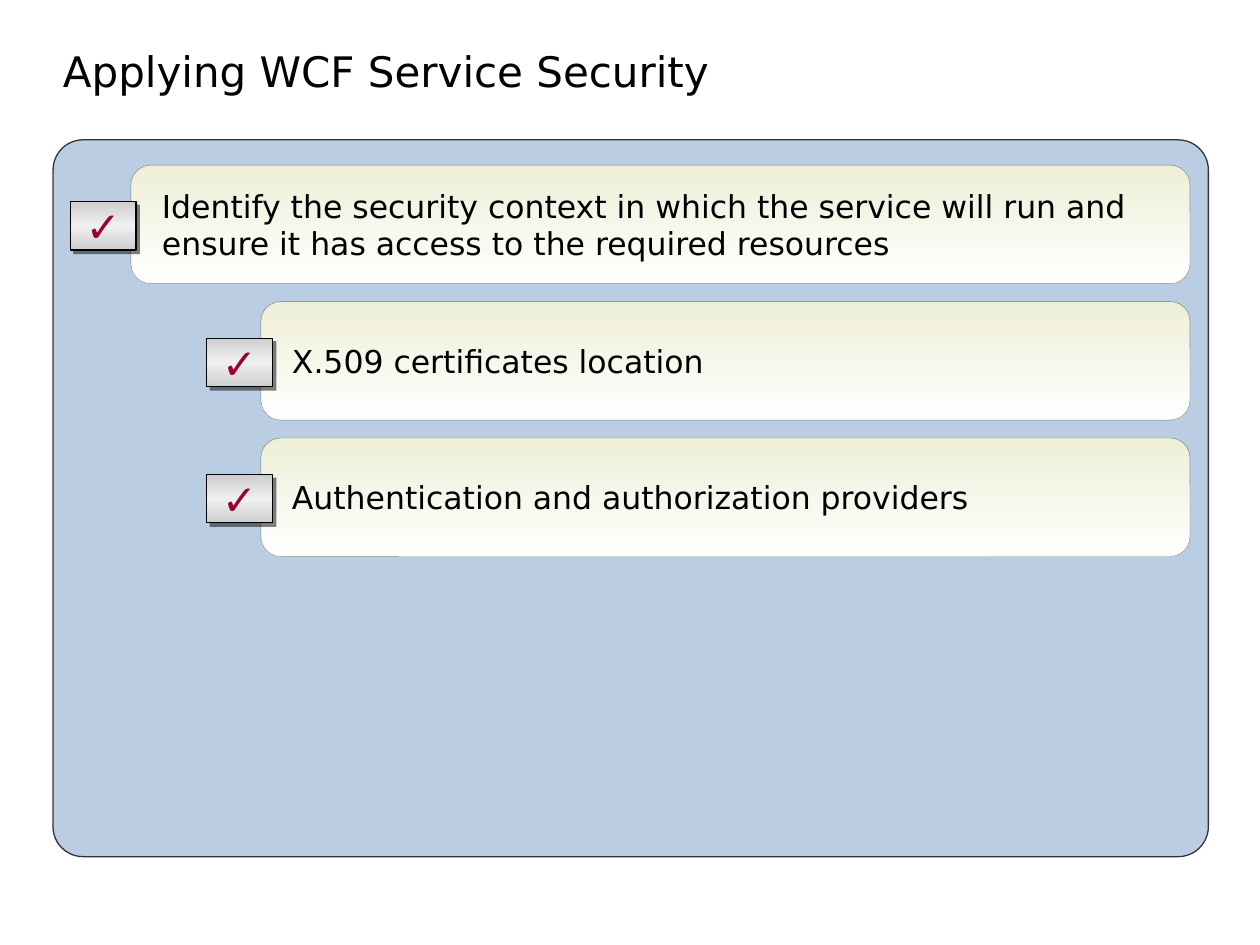
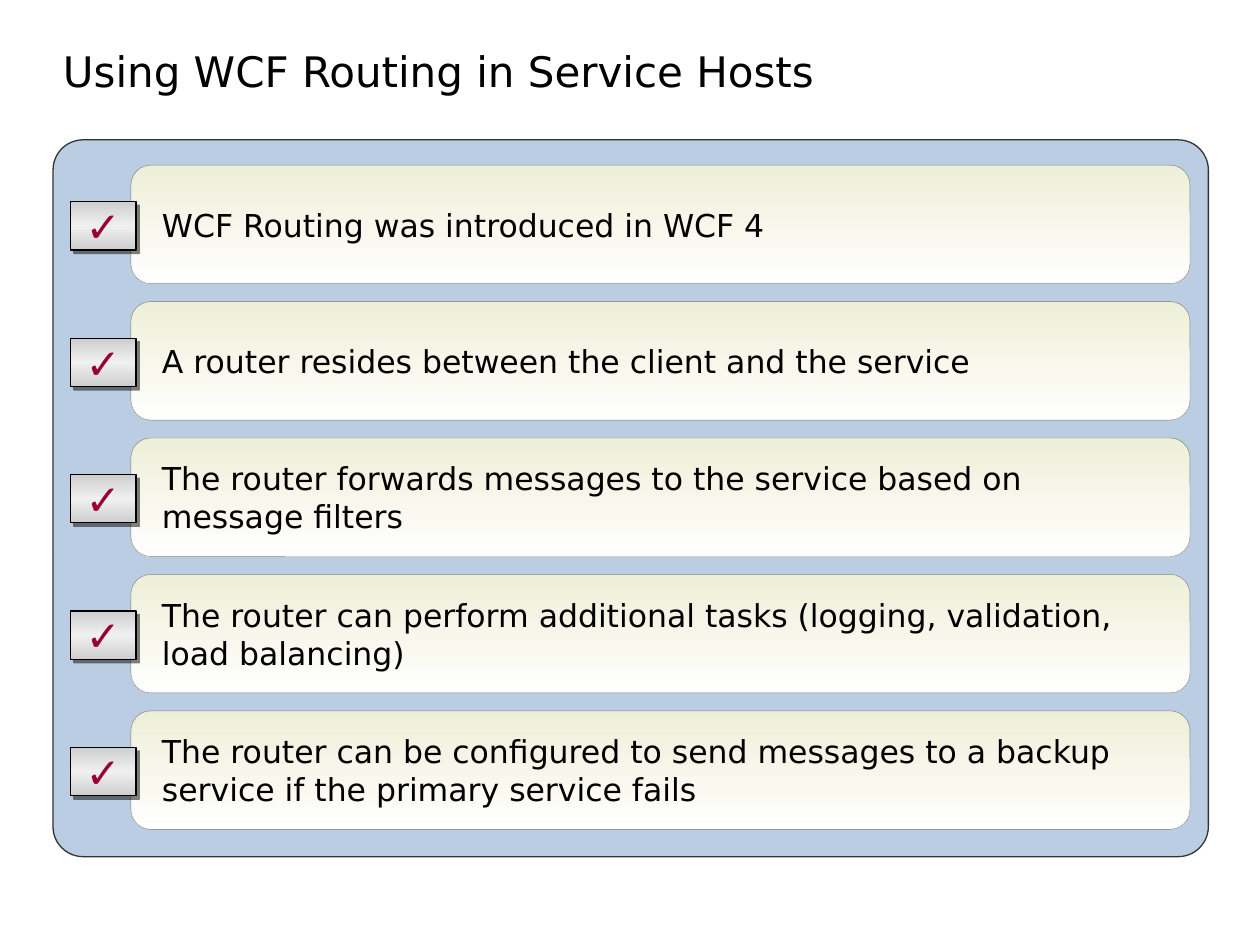
from dataclasses import dataclass

from lxml import etree
from pptx import Presentation
from pptx import util as u
from pptx.dml.color import RGBColor
from pptx.enum import shapes, text
from pptx.oxml import ns

# Colours and fonts
BLACK = RGBColor(0, 0, 0)
PANEL = RGBColor(0xBB, 0xCD, 0xE3)
EDGE = RGBColor(0x33, 0x33, 0x33)
GREY = RGBColor(0x80, 0x80, 0x80)
CREAM = RGBColor(0xEE, 0xEF, 0xD7)
WHITE = RGBColor(0xFF, 0xFF, 0xFF)
STEEL = RGBColor(0xCE, 0xCE, 0xCE)
SHINE = RGBColor(0xF0, 0xF0, 0xF0)
RED = RGBColor(0x99, 0, 0x33)
SANS = "DejaVu Sans"
MARK = "Arial"

# Row geometry, in centimetres: (card left, check left) per level
LEVELS = ((2.64, 1.42), (5.26, 4.17))
RIGHT = 23.99
TOP, PITCH, HIGH = 3.33, 2.75, 2.39
DROP = 0.74


@dataclass(frozen=True)
class Box:
    left: float
    top: float
    width: float
    height: float

    def place(self) -> tuple:
        return tuple(map(u.Cm, (self.left, self.top, self.width, self.height)))


@dataclass(frozen=True)
class Row:
    words: str
    level: int = 0


@dataclass(frozen=True)
class Page:
    title: str
    rows: tuple


PAGES = (
    Page("Applying WCF Service Security", (
        Row("Identify the security context in which the service will run "
            "and ensure it has access to the required resources"),
        Row("X.509 certificates location", 1),
        Row("Authentication and authorization providers", 1),
    )),
    Page("Using WCF Routing in Service Hosts", (
        Row("WCF Routing was introduced in WCF 4"),
        Row("A router resides between the client and the service"),
        Row("The router forwards messages to the service based on "
            "message filters"),
        Row("The router can perform additional tasks (logging, validation, "
            "load balancing)"),
        Row("The router can be configured to send messages to a backup "
            "service if the primary service fails"),
    )),
)


def node(up, tag: str, **attrs):
    return etree.SubElement(up, ns.qn(tag), attrs)


def fade(shape, *stops: RGBColor) -> None:
    """Fill from top to bottom with evenly spaced colours."""
    shape.fill.gradient()
    shape.fill.gradient_angle = 270
    ramp = shape.element.spPr.find(".//" + ns.qn("a:gsLst"))
    for old in list(ramp):
        ramp.remove(old)
    for i, tint in enumerate(stops):
        stop = node(ramp, "a:gs", pos=str(100000 * i // (len(stops) - 1)))
        node(stop, "a:srgbClr", val=str(tint))


def shade(shape) -> None:
    """Add a half-clear black shadow to the lower right."""
    glow = shape.element.spPr.find(ns.qn("a:effectLst"))
    cast = node(glow, "a:outerShdw", dist=str(u.Pt(2.8)), dir="2700000",
                algn="ctr", rotWithShape="0")
    node(node(cast, "a:srgbClr", val=str(BLACK)), "a:alpha", val="50000")


def plate(slide, box: Box, bend: float, line: RGBColor, weight: float):
    shape = slide.shapes.add_shape(
        shapes.MSO_SHAPE.ROUNDED_RECTANGLE, *box.place())
    shape.adjustments[0] = bend
    shape.line.color.rgb = line
    shape.line.width = u.Pt(weight)
    shape.shadow.inherit = False
    return shape


def write(shape, words: str, size: float, font: str = SANS,
          tint: RGBColor = BLACK, align=text.PP_ALIGN.LEFT,
          anchor=text.MSO_ANCHOR.MIDDLE, wrap: bool = True,
          sides: tuple = (0.25, 0.25)):
    frame = shape.text_frame
    frame.text = words
    frame.word_wrap = wrap
    frame.vertical_anchor = anchor
    frame.margin_left, frame.margin_right = map(u.Cm, sides)
    frame.margin_top = frame.margin_bottom = u.Cm(0.13)
    para = frame.paragraphs[0]
    para.alignment = align
    face = para.runs[0].font
    face.size, face.name, face.color.rgb = u.Pt(size), font, tint
    return para


def draw_row(slide, row: Row, top: float) -> None:
    left, tick = LEVELS[row.level]
    card = plate(slide, Box(left, top, RIGHT - left, HIGH), 0.167, GREY, 0.25)
    fade(card, CREAM, WHITE)
    write(card, row.words, 18, sides=(0.51, 0.51))

    check = plate(slide, Box(tick, top + DROP, 1.32, 0.97), 0, BLACK, 0.75)
    fade(check, STEEL, SHINE, STEEL)
    shade(check)
    write(check, "✓", 24, MARK, RED, text.PP_ALIGN.CENTER, wrap=False)


def draw_page(deck, page: Page) -> None:
    slide = deck.slides.add_slide(deck.slide_layouts[6])

    # Panel and title
    panel = plate(slide, Box(1.07, 2.82, 23.29, 14.45), 0.042, EDGE, 0.75)
    panel.fill.solid()
    panel.fill.fore_color.rgb = PANEL
    title = slide.shapes.add_textbox(*Box(1.27, 0, 21.59, 2.06).place())
    para = write(title, page.title, 24, anchor=text.MSO_ANCHOR.BOTTOM,
                 sides=(0, 0.25))
    para.line_spacing = 0.85

    # Checklist
    for i, row in enumerate(page.rows):
        draw_row(slide, row, TOP + i * PITCH)


def main() -> None:
    deck = Presentation()
    deck.slide_width, deck.slide_height = u.Cm(25.4), u.Cm(19.05)
    for page in PAGES:
        draw_page(deck, page)
    deck.save("out.pptx")


if __name__ == "__main__":
    main()
